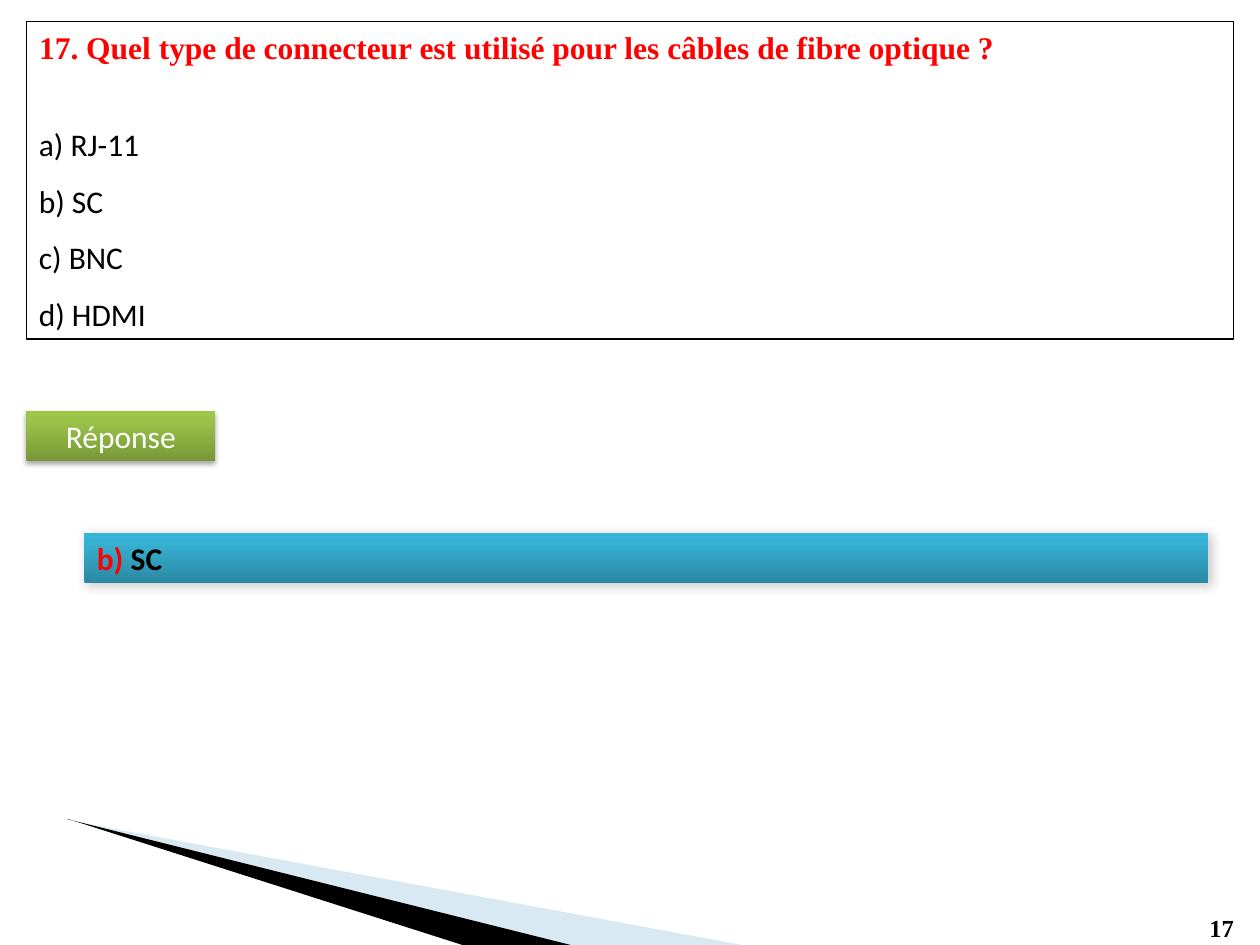
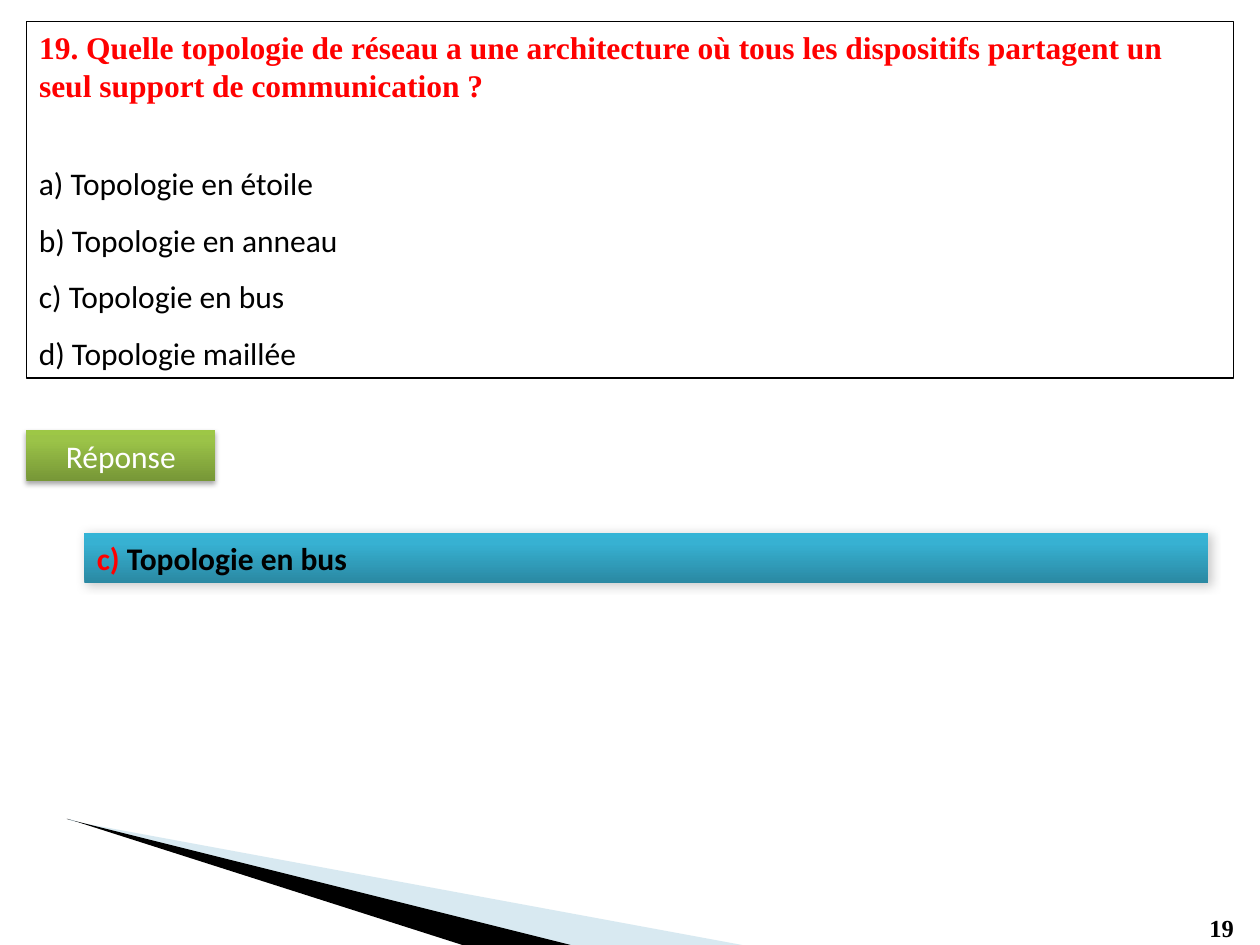
import pptx
import pptx.util
import pptx.dml.color
import pptx.enum.shapes
import pptx.enum.text
import pptx.oxml.ns
from lxml import etree

Inches = pptx.util.Inches
Pt = pptx.util.Pt
ALIGN = pptx.enum.text.PP_ALIGN
ANCHOR = pptx.enum.text.MSO_ANCHOR
qn = pptx.oxml.ns.qn

# Shared style
BLACK, WHITE, RED, PALE = "000000", "FFFFFF", "FF0000", "9FCADC"
SERIF, SANS = "Times New Roman", "Calibri"
GREEN = [(0, "779737"), (80, "9BC348"), (100, "9DC746")]
BLUE = [(0, "2A88A2"), (80, "37B1D2"), (100, "34B4D6")]

# Shared places: left, top, width, height
EDGE, TOP, WIDE = 0.21, 0.17, 9.58
BAR = (0.67, 4.23, 8.92, 0.4)
TAG_W, TAG_H = 1.5, 0.4
PAGE = (9.5, 7.2, 0.48, 0.34)

QUIZ = [
    dict(page=17, high=2.52, lines=1,
         ask="Quel type de connecteur est utilisé pour les câbles de fibre optique ?",
         picks=["RJ-11", "SC", "BNC", "HDMI"], right=1),
    dict(page=19, high=2.83, lines=2,
         ask="Quelle topologie de réseau a une architecture où tous les dispositifs "
             "partagent un seul support de communication ?",
         picks=["Topologie en étoile", "Topologie en anneau",
                "Topologie en bus", "Topologie maillée"], right=2),
]


def color(code):
    return pptx.dml.color.RGBColor.from_string(code)


def style(font, size, code, name=SANS, bold=False):
    font.size, font.name, font.bold = Pt(size), name, bold
    font.color.rgb = color(code)


def place(box):
    return [Inches(n) for n in box]


def node(parent, tag, **attrs):
    return etree.SubElement(parent, qn(tag), {k: str(v) for k, v in attrs.items()})


def add_rect(slide, box):
    rect = slide.shapes.add_shape(
        pptx.enum.shapes.MSO_SHAPE.RECTANGLE, *place(box))
    rect.shadow.inherit = False
    rect.text_frame.word_wrap = True
    return rect


def add_band(slide, box, stops, alpha, blur, dist, angle):
    """Rectangle with an upward gradient and a soft shadow."""
    band = add_rect(slide, box)
    band.line.fill.background()
    band.fill.gradient()
    band.fill.gradient_angle = 90
    props = band.element.spPr
    marks = props.find(".//" + qn("a:gsLst"))
    for old in list(marks):
        marks.remove(old)
    for pos, code in stops:
        node(node(marks, "a:gs", pos=pos * 1000), "a:srgbClr", val=code)
    shade = node(props.find(qn("a:effectLst")), "a:outerShdw",
                 blurRad=Pt(blur), dist=Pt(dist), dir=angle * 60000,
                 algn="ctr", rotWithShape=0)
    node(node(shade, "a:srgbClr", val=BLACK), "a:alpha", val=alpha * 1000)
    return band


def add_wedge(slide, code, *loops):
    """Filled outline made of one or more closed loops."""
    first, *rest = [[tuple(place(spot)) for spot in loop] for loop in loops]
    pen = slide.shapes.build_freeform(*first[0])
    pen.add_line_segments(first[1:], close=True)
    for loop in rest:
        pen.move_to(*loop[0])
        pen.add_line_segments(loop[1:], close=True)
    wedge = pen.convert_to_shape()
    wedge.shadow.inherit = False
    wedge.fill.solid()
    wedge.fill.fore_color.rgb = color(code)
    wedge.line.fill.background()
    return wedge


def add_decor(slide, page):
    # Corner wedges
    pale = add_wedge(slide, PALE, [(0.64, 6.53), (4.51, 7.5), (5.89, 7.5)],
                     [(0.55, 6.5), (0.55, 6.51), (0.64, 6.53)])
    tint = pale.element.spPr.find(qn("a:solidFill")).find(qn("a:srgbClr"))
    node(tint, "a:alpha", val=40000)
    add_wedge(slide, BLACK, [(0.53, 6.5), (0.54, 6.5), (3.67, 7.5), (4.53, 7.5)])
    # Page number
    frame = slide.shapes.add_textbox(*place(PAGE)).text_frame
    frame.word_wrap = True
    frame.text = str(page)
    style(frame.paragraphs[0].font, 14, BLACK, SERIF, True)


def add_ask(slide, box, text, lines, picks):
    left, top, width, high = box
    # Framed choices
    frame = add_rect(slide, box)
    frame.fill.background()
    frame.line.color.rgb = color(BLACK)
    frame.line.width = Pt(0.75)
    body = frame.text_frame
    body.vertical_anchor = ANCHOR.BOTTOM
    body.text = "\n".join(picks)
    for para in body.paragraphs:
        para.alignment = ALIGN.LEFT
        para.line_spacing = 1.5
        style(para.font, 18, BLACK)
    # Question
    title = slide.shapes.title
    title.left, title.top, title.width, title.height = place(
        (left, top, width, 0.1 + 0.3 * lines))
    head = title.text_frame
    head.text = text
    head.word_wrap = True
    head.auto_size = pptx.enum.text.MSO_AUTO_SIZE.NONE
    head.vertical_anchor = ANCHOR.TOP
    head.paragraphs[0].alignment = ALIGN.LEFT
    style(head.paragraphs[0].font, 18, RED, SERIF, True)


def add_reply(slide, base, mark, text):
    # Label halfway between the question box and the answer bar
    top = (base + BAR[1] - TAG_H) / 2
    tag = add_band(slide, (EDGE, top, TAG_W, TAG_H), GREEN, 35, 3.1, 1.8, 90)
    tag.text_frame.text = "Réponse"
    para = tag.text_frame.paragraphs[0]
    para.alignment = ALIGN.CENTER
    style(para.font, 18, WHITE)
    # Answer bar
    bar = add_band(slide, BAR, BLUE, 20, 6, 1, 45)
    para = bar.text_frame.paragraphs[0]
    para.alignment = ALIGN.JUSTIFY
    for part, code in ((mark + " ", RED), (text, BLACK)):
        run = para.add_run()
        run.text = part
        style(run.font, 18, code, bold=True)


def add_quiz(deck, page, high, lines, ask, picks, right):
    slide = deck.slides.add_slide(deck.slide_layouts[5])
    add_decor(slide, page)
    marks = [f"{key})" for key in "abcd"]
    add_ask(slide, (EDGE, TOP, WIDE, high), f"{page}. {ask}", lines,
            [f"{mark} {pick}" for mark, pick in zip(marks, picks)])
    add_reply(slide, TOP + high, marks[right], picks[right])


def main():
    deck = pptx.Presentation()
    deck.slide_width, deck.slide_height = Inches(10), Inches(7.5)
    for item in QUIZ:
        add_quiz(deck, **item)
    deck.save("out.pptx")


if __name__ == "__main__":
    main()
